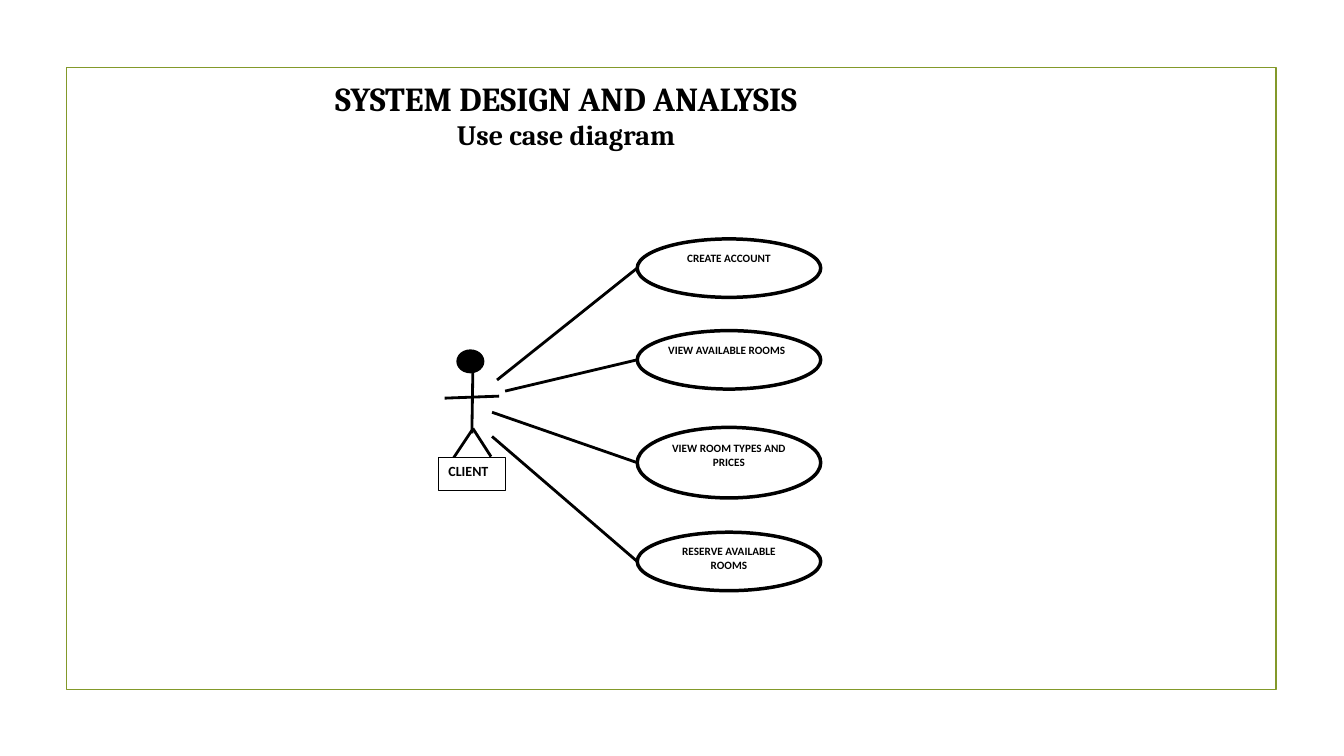
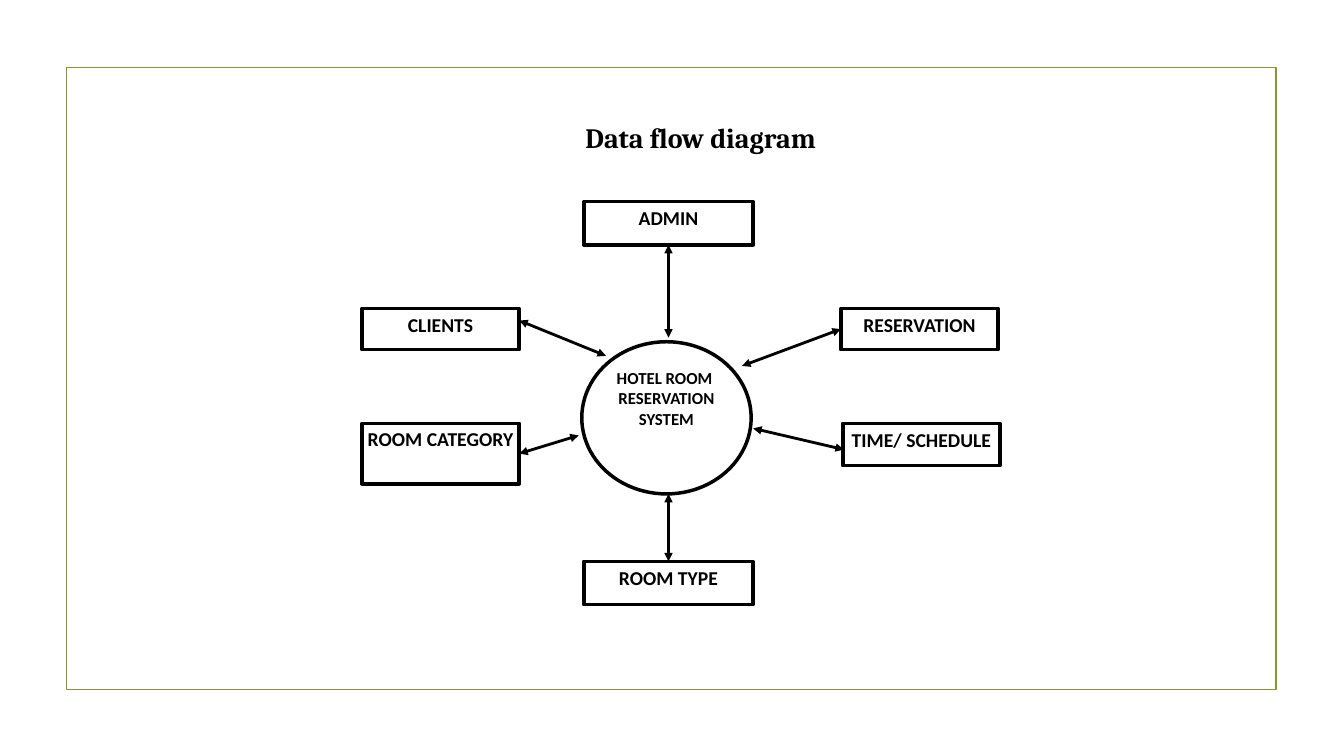
from pptx import Presentation
from pptx.dml.color import RGBColor
from pptx.enum.shapes import MSO_CONNECTOR, MSO_SHAPE
from pptx.enum.text import MSO_ANCHOR, PP_ALIGN
from pptx.oxml.ns import qn
from pptx.util import Inches, Pt
from lxml import etree

BLACK = RGBColor(0x00, 0x00, 0x00)
WHITE = RGBColor(0xFF, 0xFF, 0xFF)
OLIVE = RGBColor(0x83, 0x99, 0x2A)
HEADING_FONT, LABEL_FONT = "Cambria", "Calibri"
RECT, OVAL = MSO_SHAPE.RECTANGLE, MSO_SHAPE.OVAL
STRAIGHT = MSO_CONNECTOR.STRAIGHT
LEFT, CENTER = PP_ALIGN.LEFT, PP_ALIGN.CENTER
TOP = MSO_ANCHOR.TOP
SIDE_TOP, SIDE_LEFT, SIDE_BOTTOM, SIDE_RIGHT = range(4)
TIGHT = (0.04, 0.04)
NORMAL = (0.1, 0.05)


# Shared building blocks
def write(shape, lines, font, align=CENTER, insets=NORMAL):
    """Fill a shape with (text, size) lines, each in its own paragraph."""
    frame = shape.text_frame
    frame.word_wrap = True
    frame.vertical_anchor = TOP
    frame.margin_left = frame.margin_right = Inches(insets[0])
    frame.margin_top = frame.margin_bottom = Inches(insets[1])
    for i, (text, size) in enumerate(lines):
        paragraph = frame.paragraphs[0] if i == 0 else frame.add_paragraph()
        paragraph.alignment = align
        run = paragraph.add_run()
        run.text = text
        run.font.name = font
        run.font.size = Pt(size)
        run.font.bold = True
        run.font.color.rgb = BLACK


def outline(slide, kind, box, fill=WHITE, line=BLACK, weight=2.5):
    shape = slide.shapes.add_shape(kind, *map(Inches, box))
    shape.shadow.inherit = False
    if fill is None:
        shape.fill.background()
    else:
        shape.fill.solid()
        shape.fill.fore_color.rgb = fill
    shape.line.color.rgb = line
    shape.line.width = Pt(weight)
    return shape


def link(slide, start, end, arrows=False):
    line = slide.shapes.add_connector(STRAIGHT, *map(Inches, (*start, *end)))
    line.line.color.rgb = BLACK
    line.line.width = Pt(2)
    properties = line._element.spPr
    if arrows:
        for tag in ("a:headEnd", "a:tailEnd"):
            etree.SubElement(properties.find(qn("a:ln")), qn(tag), type="triangle")
    etree.SubElement(properties, qn("a:effectLst"))
    return line


def framed_slide(prs):
    slide = prs.slides.add_slide(prs.slide_layouts[6])
    outline(slide, RECT, (0.66, 0.67, 12, 6.17), None, OLIVE, 1.25)
    return slide


def heading(slide, box, lines):
    write(slide.shapes.add_textbox(*map(Inches, box)), lines, HEADING_FONT)


# Use case diagram
def client_actor(slide, left, top):
    def limb(x1, y1, x2, y2):
        link(slide, (left + x1, top + y1), (left + x2, top + y2))

    limb(0.34, 0.21, 0.33, 0.82)    # body
    limb(0.06, 0.47, 0.6, 0.45)     # arms
    outline(slide, OVAL, (left + 0.19, top, 0.25, 0.21), BLACK, weight=2)
    limb(0.33, 0.79, 0.15, 1.06)    # left leg
    limb(0.34, 0.77, 0.52, 1.05)    # right leg
    name = outline(slide, RECT, (left, top + 1.06, 0.66, 0.33), weight=0.75)
    write(name, [("CLIENT", 10)], LABEL_FONT, LEFT)


def use_cases(slide, left, top):
    # top offset, height, lines, alignment, where the client's line starts
    cases = [
        (0, 0.58, ["CREATE ACCOUNT"], CENTER, (4.93, 3.77)),
        (0.91, 0.58, ["VIEW AVAILABLE ROOMS"], LEFT, (5.01, 3.88)),
        (1.87, 0.7, ["VIEW ROOM TYPES AND", "PRICES"], CENTER, (4.88, 4.09)),
        (2.91, 0.58, ["RESERVE AVAILABLE ROOMS"], CENTER, (4.88, 4.33)),
    ]
    for offset, height, lines, align, start in cases:
        case = outline(slide, OVAL, (left, top + offset, 1.82, height))
        write(case, [(text, 8) for text in lines], LABEL_FONT, align, TIGHT)
        link(slide, start, (left, top + offset + height / 2))


def use_case_slide(prs):
    slide = framed_slide(prs)
    client_actor(slide, 4.35, 3.48)
    use_cases(slide, 6.32, 2.37)
    heading(slide, (2.96, 0.72, 5.31, 1.25),
            [("SYSTEM DESIGN AND ANALYSIS", 24), ("Use case diagram", 20)])


# Data flow diagram
def data_flow(slide, left, top):
    hub = outline(slide, OVAL, (left + 2.18, top + 1.39, 1.68, 1.51))
    write(hub, [(text, 12) for text in ("HOTEL ROOM ", "RESERVATION", "SYSTEM")],
          LABEL_FONT, insets=TIGHT)

    # name, box, arrow end at the entity, arrow end at the hub, joined side
    entities = [
        ("ADMIN", (2.2, 0, 1.68, 0.43), (3.04, 0.43), (3.04, 1.35), SIDE_BOTTOM),
        ("CLIENTS", (0, 1.06, 1.56, 0.41), (1.56, 1.18), (2.42, 1.53), None),
        ("TIME/ SCHEDULE", (4.77, 2.2, 1.56, 0.42), (4.78, 2.46), (3.88, 2.25), None),
        ("RESERVATION", (4.75, 1.06, 1.56, 0.41), (4.75, 1.27), (3.77, 1.63), SIDE_LEFT),
        ("ROOM TYPE", (2.2, 3.57, 1.68, 0.43), (3.04, 3.57), (3.04, 2.9), SIDE_TOP),
        ("ROOM CATEGORY", (0, 2.2, 1.56, 0.6), (1.56, 2.5), (2.15, 2.32), SIDE_RIGHT),
    ]
    for name, (x, y, width, height), outer, inner, side in entities:
        entity = outline(slide, RECT, (left + x, top + y, width, height))
        write(entity, [(name, 14)], LABEL_FONT, insets=TIGHT)
        flow = link(slide, (left + outer[0], top + outer[1]),
                    (left + inner[0], top + inner[1]), arrows=True)
        if side is not None:
            flow.begin_connect(entity, side)


def data_flow_slide(prs):
    slide = framed_slide(prs)
    data_flow(slide, 3.59, 2)
    heading(slide, (4.31, 1.15, 5.28, 0.44), [("Data flow diagram", 20)])


def main():
    prs = Presentation()
    prs.slide_width, prs.slide_height = Inches(13.33), Inches(7.5)
    use_case_slide(prs)
    data_flow_slide(prs)
    prs.save("out.pptx")


if __name__ == "__main__":
    main()
